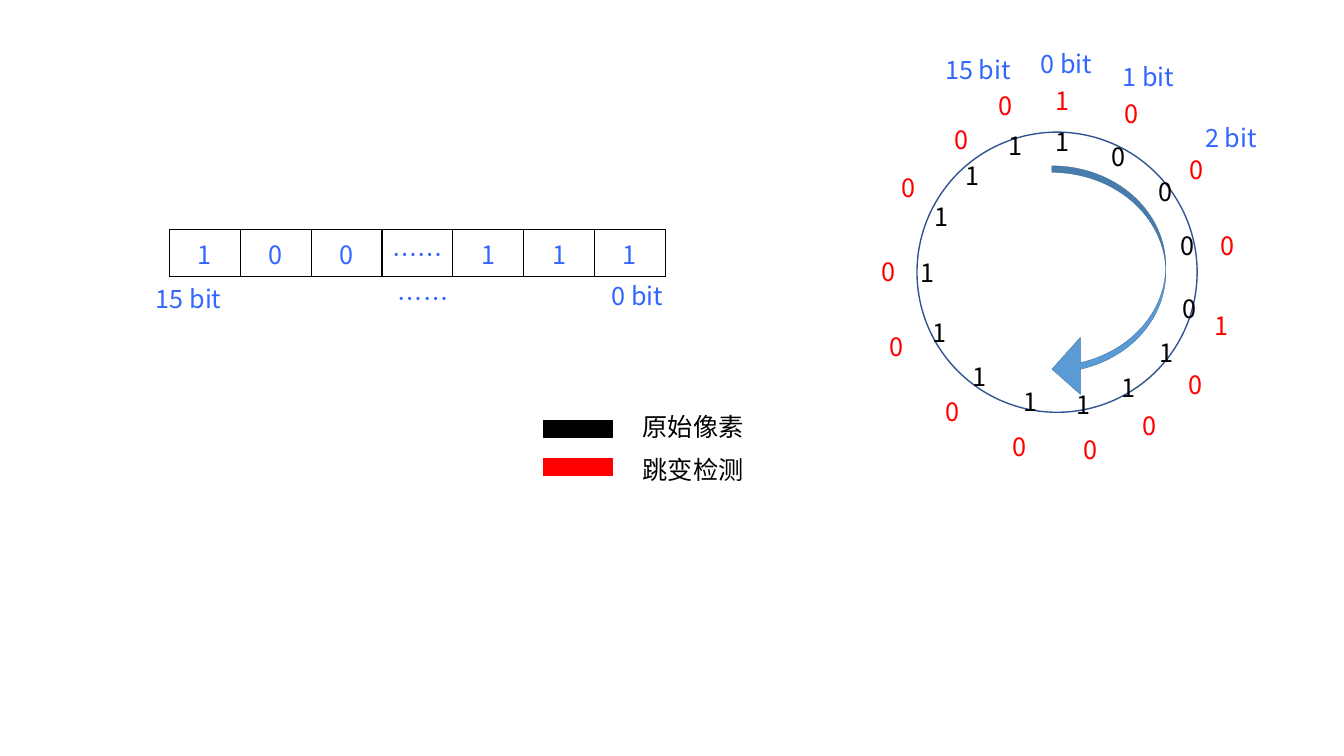
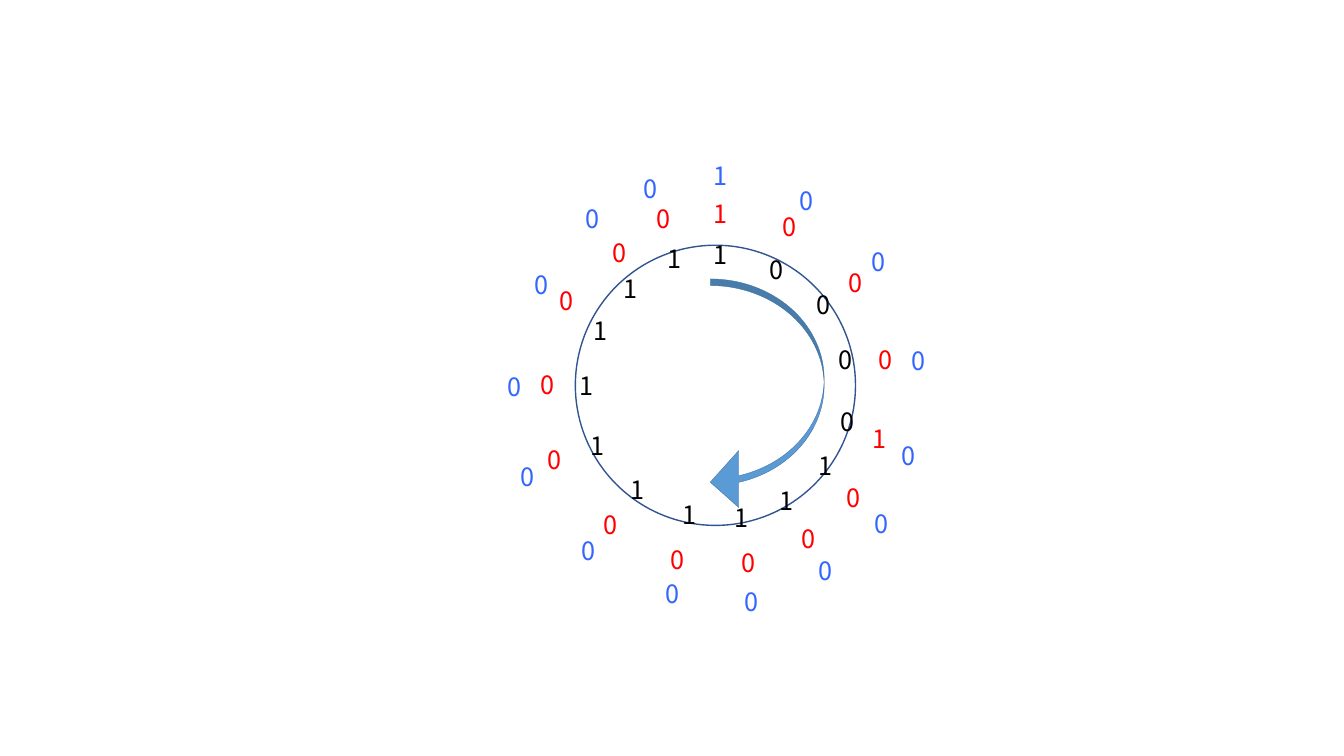
import pptx
import pptx.util
import pptx.dml.color
import pptx.enum.shapes
import pptx.enum.text
import pptx.oxml.ns
import lxml.etree

Cm = pptx.util.Cm
Pt = pptx.util.Pt
SHAPES = pptx.enum.shapes.MSO_SHAPE
FONT = "Noto Sans CJK SC"
COLORS = {
    "pixel": "000000",
    "change": "FF0000",
    "bit": "3366FF",
    "circle": "325491",
    "arrow": "5B9BD5",
    "arrow_line": "43739E",
}
CIRCLE_SIZE = 7.06
TEXT_HEIGHT = 1.02
DIGIT_WIDTH = 0.94
LABEL_WIDTH = 2.62

PIXEL_RING = ("100001111111111", [
    (3.23, -0.28), (4.65, 0.1), (5.84, 0.99), (6.38, 2.36), (6.43, 3.94),
    (5.87, 5.05), (4.9, 5.92), (3.76, 6.35), (2.44, 6.27), (1.14, 5.66),
    (0.13, 4.55), (-0.15, 3.02), (0.2, 1.63), (0.97, 0.58), (2.06, -0.18),
])
CHANGE_RING = ("100010000000000", [
    (3.23, -1.3), (4.98, -0.97), (6.63, 0.43), (7.39, 2.36), (7.24, 4.37),
    (6.58, 5.84), (5.44, 6.88), (3.94, 7.49), (2.16, 7.42), (0.46, 6.53),
    (-0.94, 4.9), (-1.14, 3.0), (-0.64, 0.89), (0.69, -0.33), (1.8, -1.17),
])
BIT_RING = ("100000000000000", [
    (3.23, -2.26), (5.41, -1.63), (7.21, -0.1), (8.23, 2.39), (7.98, 4.8),
    (7.29, 6.5), (5.87, 7.7), (4.01, 8.46), (2.01, 8.26), (-0.1, 7.19),
    (-1.63, 5.31), (-1.96, 3.05), (-1.27, 0.48), (0, -1.19), (1.47, -1.93),
])


def rgb(name):
    return pptx.dml.color.RGBColor.from_string(COLORS[name])


def format_text(tf, color):
    for p in tf.paragraphs:
        for r in p.runs:
            r.font.size = Pt(18)
            r.font.name = FONT
            r.font.color.rgb = rgb(color)
            ea = lxml.etree.SubElement(r.font._element, pptx.oxml.ns.qn("a:ea"))
            ea.set("typeface", FONT)


def add_text(slide, text, x, y, w, color):
    sp = slide.shapes.add_textbox(Cm(x), Cm(y), Cm(w), Cm(TEXT_HEIGHT))
    tf = sp.text_frame
    tf.word_wrap = True
    tf.auto_size = pptx.enum.text.MSO_AUTO_SIZE.SHAPE_TO_FIT_TEXT
    tf.text = text
    format_text(tf, color)


def add_shape(slide, kind, x, y, w, h, fill, line, weight=1):
    sp = slide.shapes.add_shape(kind, Cm(x), Cm(y), Cm(w), Cm(h))
    sp.shadow.inherit = False
    if fill:
        sp.fill.solid()
        sp.fill.fore_color.rgb = rgb(fill)
    else:
        sp.fill.background()
    sp.line.color.rgb = rgb(line)
    sp.line.width = Pt(weight)
    return sp


def add_ring(slide, ring, x, y, color):
    for digit, (dx, dy) in zip(*ring):
        add_text(slide, digit, x + dx, y + dy, DIGIT_WIDTH, color)


def add_dial(slide, x, y):
    add_shape(slide, SHAPES.OVAL, x, y, CIRCLE_SIZE, CIRCLE_SIZE, None, "circle")
    arrow = add_shape(slide, SHAPES.CURVED_LEFT_ARROW, x + 3.4, y + 0.85,
                      2.87, 5.84, "arrow", "arrow_line", 0.25)
    for i, value in enumerate((0.058, 0.5, 0.25)):
        arrow.adjustments[i] = value
    add_ring(slide, PIXEL_RING, x, y, "pixel")
    add_ring(slide, CHANGE_RING, x, y, "change")


def set_borders(cell):
    tc_pr = cell._tc.get_or_add_tcPr()
    for i, side in enumerate(("lnL", "lnR", "lnT", "lnB")):
        ln = lxml.etree.Element(pptx.oxml.ns.qn("a:" + side), w=str(Pt(1)))
        fill = lxml.etree.SubElement(ln, pptx.oxml.ns.qn("a:solidFill"))
        lxml.etree.SubElement(fill, pptx.oxml.ns.qn("a:srgbClr"), val=COLORS["pixel"])
        tc_pr.insert(i, ln)


def add_bit_table(slide, values, x, y, w, h):
    table = slide.shapes.add_table(1, len(values), Cm(x), Cm(y), Cm(w), Cm(h)).table
    table.first_row = False
    table.horz_banding = False
    for i, value in enumerate(values):
        cell = table.cell(0, i)
        cell.text = value
        cell.text_frame.paragraphs[0].alignment = pptx.enum.text.PP_ALIGN.CENTER
        format_text(cell.text_frame, "bit")
        cell.fill.background()
        set_borders(cell)


def add_legend(slide):
    for text, color, bar_y, text_y in (("原始像素", "pixel", 10.59, 10.24),
                                       ("跳变检测", "change", 11.56, 11.33)):
        add_shape(slide, SHAPES.RECTANGLE, 13.69, bar_y, 1.75, 0.43, color, color)
        add_text(slide, text, 15.95, text_y, 3.3, "pixel")


def build_encoding_slide(slide):
    add_bit_table(slide, ["1", "0", "0", "……", "1", "1", "1"], 4.27, 5.79, 12.5, 1.04)
    add_dial(slide, 23.11, 3.33)
    add_legend(slide)
    for text, x, y in (("15 bit", 3.68, 7.01), ("……", 9.78, 7.01), ("0 bit", 15.16, 6.93),
                       ("15 bit", 23.57, 1.24), ("0 bit", 25.98, 1.09),
                       ("1 bit", 28.04, 1.42), ("2 bit", 30.12, 2.97)):
        add_text(slide, text, x, y, LABEL_WIDTH, "bit")


def build_result_slide(slide):
    x, y = 14.5, 6.18
    add_dial(slide, x, y)
    add_ring(slide, BIT_RING, x, y, "bit")


def main():
    prs = pptx.Presentation()
    prs.slide_width = Cm(33.87)
    prs.slide_height = Cm(19.05)
    for build in (build_encoding_slide, build_result_slide):
        build(prs.slides.add_slide(prs.slide_layouts[6]))
    prs.save("out.pptx")


if __name__ == "__main__":
    main()
